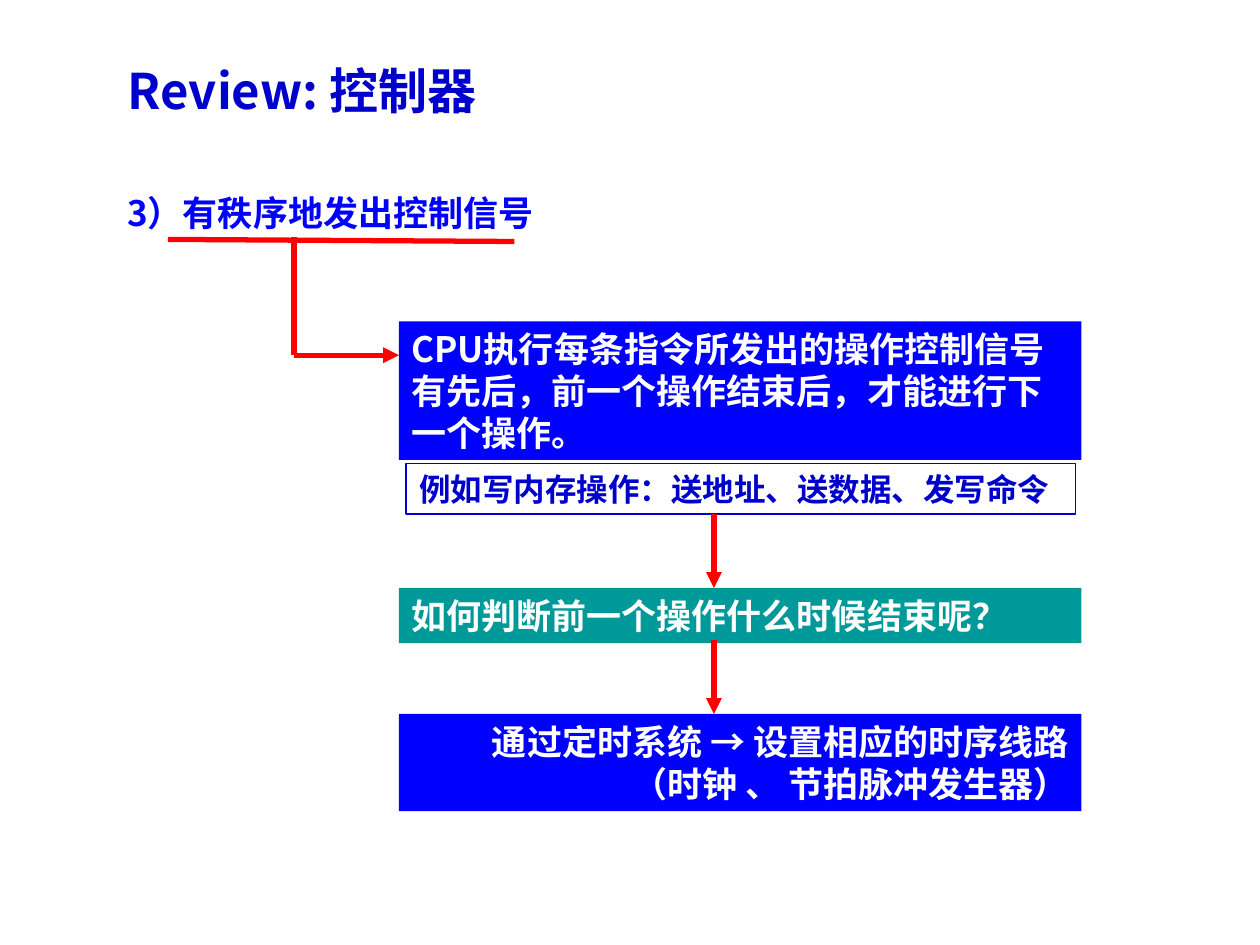
from lxml.etree import SubElement
from pptx import Presentation
from pptx.dml.color import RGBColor
from pptx.enum.shapes import MSO_CONNECTOR, MSO_SHAPE
from pptx.enum.text import MSO_ANCHOR, PP_ALIGN
from pptx.oxml.ns import qn
from pptx.util import Pt

COLORS = {
    "title": "0000CC",
    "blue": "0000FF",
    "teal": "009999",
    "red": "FF0000",
    "white": "FFFFFF",
}
FONT = "Noto Sans CJK SC"


class SlideBuilder:
    """Holds the style and the slide that elements are added to."""

    def __init__(self, slide):
        self.slide = slide
        self.font = FONT
        self.line_width = 3

    def color(self, name):
        return RGBColor.from_string(COLORS[name])

    def fill_text(self, shape, lines, size, color, align=PP_ALIGN.LEFT, wrap=True,
                  right_inset=7.2):
        frame = shape.text_frame
        frame.word_wrap = wrap
        frame.vertical_anchor = MSO_ANCHOR.TOP
        frame.margin_left, frame.margin_right = Pt(7.2), Pt(right_inset)
        frame.margin_top = frame.margin_bottom = Pt(3.6)
        for index, line in enumerate(lines):
            paragraph = frame.add_paragraph() if index else frame.paragraphs[0]
            paragraph.alignment = align
            run = paragraph.add_run()
            run.text = line
            run.font.size = Pt(size)
            run.font.bold = True
            run.font.color.rgb = self.color(color)
            run.font.name = self.font
            east_asian = SubElement(run.font._element, qn("a:ea"))
            east_asian.set("typeface", self.font)

    def text(self, bounds, lines, size, color, **options):
        box = self.slide.shapes.add_textbox(*map(Pt, bounds))
        self.fill_text(box, lines, size, color, **options)

    def box(self, bounds, lines, size, color, fill=None, outline=None, **options):
        shape = self.slide.shapes.add_shape(MSO_SHAPE.RECTANGLE, *map(Pt, bounds))
        shape.shadow.inherit = False
        if fill:
            shape.fill.solid()
            shape.fill.fore_color.rgb = self.color(fill)
        else:
            shape.fill.background()
        if outline:
            shape.line.color.rgb = self.color(outline)
            shape.line.width = Pt(0.75)
        else:
            shape.line.fill.background()
        self.fill_text(shape, lines, size, color, **options)

    def line(self, start, end, arrow=False):
        connector = self.slide.shapes.add_connector(
            MSO_CONNECTOR.STRAIGHT, *map(Pt, (*start, *end)))
        connector.line.color.rgb = self.color("red")
        connector.line.width = Pt(self.line_width)
        if arrow:
            SubElement(connector.line._get_or_add_ln(), qn("a:tailEnd")).set("type", "triangle")
        SubElement(connector._element.spPr, qn("a:effectLst"))


def main():
    presentation = Presentation()
    presentation.slide_width, presentation.slide_height = Pt(720), Pt(540)
    builder = SlideBuilder(presentation.slides.add_slide(presentation.slide_layouts[6]))

    builder.text((66, 31, 510, 41), ["Review: 控制器"], 28, "title")
    builder.text((42, 106, 270, 31.5), ["3）有秩序地发出控制信号"], 20, "blue",
                 align=PP_ALIGN.RIGHT)

    box_left, box_width = 228, 390
    question_top, answer_top = 336, 408
    builder.box((box_left, 183.6, box_width, 79.2),
                ["CPU执行每条指令所发出的操作控制信号有先后，前一个操作结束后，才能进行下一个操作。"],
                20, "white", fill="blue")
    builder.box((box_left, question_top, box_width, 31.5),
                ["如何判断前一个操作什么时候结束呢？"], 20, "white", fill="teal")
    builder.box((box_left, answer_top, box_width, 55.5),
                ["通过定时系统 → 设置相应的时序线路", "（时钟 、 节拍脉冲发生器）"],
                20, "white", fill="blue", align=PP_ALIGN.RIGHT)
    builder.box((232, 264.8, 382.5, 29),
                ["例如写内存操作：送地址、送数据、发写命令"], 18, "title", outline="title",
                align=PP_ALIGN.RIGHT, wrap=False, right_inset=15)

    elbow = (168, 203)
    builder.line((96, 136.8), (294, 138))
    builder.line(elbow, (elbow[0], 135.5))
    builder.line(elbow, (box_left, elbow[1]), arrow=True)

    flow_x, arrow_length = 408, 42
    for arrow_end in (question_top, answer_top):
        builder.line((flow_x, arrow_end - arrow_length), (flow_x, arrow_end), arrow=True)

    presentation.save("out.pptx")


if __name__ == "__main__":
    main()
